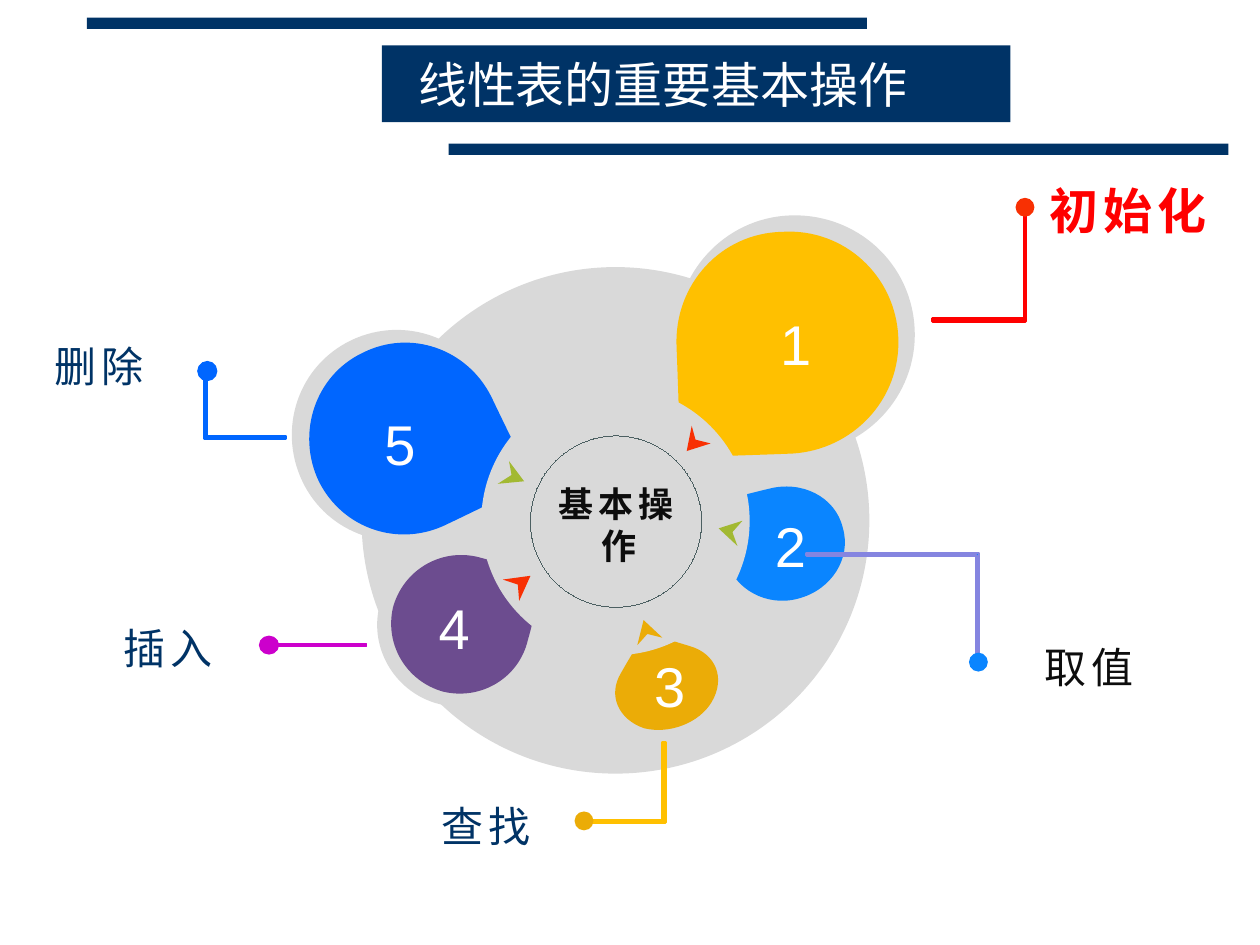
"""Build the slide on the important basic operations of a linear list."""
import math
from dataclasses import dataclass
from typing import Optional

import pptx
import pptx.dml.color
import pptx.enum.shapes
import pptx.enum.text
import pptx.oxml
import pptx.oxml.ns
import pptx.util

PX = 9144
SHAPE = pptx.enum.shapes.MSO_SHAPE
ALIGN = pptx.enum.text.PP_ALIGN
Point = tuple[float, float]
Box = tuple[int, int, int, int]


@dataclass(frozen=True)
class Theme:
    font: str = "Arial"
    navy: str = "003366"
    grey: str = "D9D9D9"
    white: str = "FFFFFF"
    ink: str = "0D0D0D"
    slate: str = "4C6062"
    red: str = "FF0000"
    scarlet: str = "F83003"
    amber: str = "FFC000"
    gold: str = "EBAC07"
    azure: str = "0A85FF"
    lilac: str = "8585E0"
    blue: str = "0066FF"
    purple: str = "6C4C8F"
    magenta: str = "CC00CC"
    green: str = "A2B932"
    number: int = 32
    heading: int = 28
    label: int = 24
    core: int = 20


@dataclass(frozen=True)
class Outline:
    points: tuple[Point, ...]
    fill: str
    line: Optional[str] = None
    curved: bool = False
    rotation: float = 0
    pivot: Point = (0, 0)


@dataclass(frozen=True)
class Preset:
    kind: SHAPE
    box: Box
    fill: Optional[str]
    line: Optional[str] = None
    width: float = 0.75


@dataclass(frozen=True)
class Label:
    text: str
    box: Box
    size: int
    color: str
    bold: bool = False
    wrap: bool = False


T = Theme()

HALOS = (
    Outline(((536, 269), (535, 217), (575, 173), (627, 171), (680, 169), (724, 209), (726, 262), (728, 314),
             (687, 358), (635, 360), (609, 361), (540, 364), (540, 364), (540, 364), (538, 295), (536, 269)),
            T.grey, curved=True),
    Outline(((352, 421), (310, 441), (260, 424), (240, 382), (220, 340), (237, 290), (279, 270), (321, 250),
             (371, 268), (390, 310), (401, 331), (427, 385), (427, 385), (427, 385), (372, 411), (352, 421)),
            T.grey, curved=True),
    Outline(((429, 506), (423, 542), (390, 566), (355, 560), (320, 555), (295, 522), (300, 487), (306, 451),
             (339, 427), (374, 433), (392, 435), (439, 442), (439, 442), (439, 442), (431, 489), (429, 506)),
            T.grey, curved=True),
)

DROPS = (
    Outline(((419, 508), (412, 538), (382, 556), (352, 549), (323, 541), (305, 512), (312, 482), (320, 453),
             (349, 435), (379, 442), (394, 446), (432, 456), (432, 456), (432, 456), (423, 494), (419, 508)),
            T.purple, curved=True),
    Outline(((355, 416), (317, 435), (272, 420), (253, 382), (235, 344), (250, 298), (288, 280), (326, 261),
             (371, 277), (390, 315), (399, 334), (423, 383), (423, 383), (423, 383), (374, 407), (355, 416)),
            T.blue, curved=True),
    Outline(((537, 275), (535, 226), (572, 185), (621, 184), (670, 181), (711, 219), (713, 268), (715, 317),
             (677, 357), (629, 360), (604, 361), (540, 363), (540, 363), (540, 363), (538, 299), (537, 275)),
            T.amber, curved=True),
    Outline(((610, 388), (636, 381), (663, 394), (669, 419), (676, 443), (660, 468), (634, 475), (609, 482),
             (583, 468), (576, 444), (572, 432), (563, 400), (563, 400), (563, 400), (597, 391), (610, 388)),
            T.azure, curved=True, rotation=346.9, pivot=(622, 431.5)),
    Outline(((548, 513), (568, 519), (576, 538), (565, 557), (555, 574), (531, 583), (511, 578), (491, 571),
             (482, 552), (493, 534), (498, 525), (512, 502), (512, 502), (512, 502), (538, 510), (548, 513)),
            T.gold, curved=True, rotation=340.9, pivot=(527.5, 540.5)),
)

POINTERS = (
    Outline(((399, 460), (421, 457), (412, 477), (411, 464)), T.scarlet),
    Outline(((404, 366), (416, 382), (395, 384), (406, 377)), T.green),
    Outline(((564, 352), (545, 358), (549, 338), (552, 349)), T.scarlet),
    Outline(((585, 433), (570, 419), (589, 413), (581, 422)), T.green, rotation=327.9, pivot=(583, 423)),
    Outline(((506, 512), (511, 492), (526, 506), (514, 503)), T.gold, rotation=343.4, pivot=(513, 500)),
)

ELBOWS = (
    Outline(((814, 255), (740, 255), (740, 253), (813, 253), (813, 160), (814, 160)), T.red, T.red),
    Outline(((777, 439), (640, 439), (640, 441), (775, 441), (775, 520), (777, 520)), T.azure, T.lilac),
    Outline(((528, 653), (461, 653), (461, 651), (526, 651), (526, 589), (528, 589)), T.amber, T.amber),
    Outline(((227, 348), (162, 348), (162, 290), (164, 290), (164, 346), (227, 346)), T.blue, T.blue),
)

BARS = (
    Preset(SHAPE.RECTANGLE, (69, 14, 619, 9), T.navy),
    Preset(SHAPE.RECTANGLE, (356, 114, 619, 9), T.navy),
)
TITLE = Preset(SHAPE.RECTANGLE, (303, 36, 499, 61), T.navy)
DISC = Preset(SHAPE.OVAL, (287, 212, 403, 402), T.grey)
HUB = Preset(SHAPE.OVAL, (382, 307, 213, 213), T.grey)
RING = Preset(SHAPE.OVAL, (421, 346, 136, 136), None, T.slate, 0)
MARKERS = (
    Preset(SHAPE.RECTANGLE, (214, 511, 77, 2), T.magenta, T.magenta),
    Preset(SHAPE.OVAL, (806, 157, 15, 15), T.scarlet),
    Preset(SHAPE.OVAL, (769, 518, 15, 15), T.azure),
    Preset(SHAPE.OVAL, (206, 505, 15, 14), T.magenta, T.magenta),
    Preset(SHAPE.OVAL, (456, 644, 15, 15), T.gold),
    Preset(SHAPE.OVAL, (157, 287, 15, 15), T.blue, T.blue),
)

LABELS = (
    Label("基本操作", (425, 376, 132, 81), T.core, T.ink, bold=True, wrap=True),
    Label("初始化", (817, 136, 157, 61), T.heading, T.red, bold=True),
    *(Label(text, (x, y, 103, 54), T.label, color) for text, x, y, color in (
        ("查找", 334, 628, T.navy), ("插入", 82, 487, T.navy),
        ("取值", 813, 502, T.ink), ("删除", 27, 263, T.navy))),
    *(Label(text, (x, y, 53, 67), T.number, T.white) for text, x, y in (
        ("1", 605, 239), ("5", 291, 318), ("4", 334, 464), ("3", 505, 510), ("2", 601, 399))),
)


def rgb(value: str) -> pptx.dml.color.RGBColor:
    return pptx.dml.color.RGBColor.from_string(value)


def emu(box: Box) -> list[int]:
    return [value * PX for value in box]


def paint(sp, fill: Optional[str], line: Optional[str], width: float) -> None:
    sp.shadow.inherit = False
    for part, color in ((sp.fill, fill), (sp.line.fill, line)):
        if color:
            part.solid()
            part.fore_color.rgb = rgb(color)
        else:
            part.background()
    if line:
        sp.line.width = max(pptx.util.Emu(1), pptx.util.Pt(width))


def turn(point: Point, pivot: Point, degrees: float) -> Point:
    dx, dy = point[0] - pivot[0], point[1] - pivot[1]
    c, n = math.cos(math.radians(degrees)), math.sin(math.radians(degrees))
    return pivot[0] + dx * c - dy * n, pivot[1] + dx * n + dy * c


def bend(sp) -> None:
    lines = list(sp._element.iter(pptx.oxml.ns.qn("a:lnTo")))
    for first, second, third in zip(lines[::3], lines[1::3], lines[2::3]):
        curve = pptx.oxml.parse_xml(f"<a:cubicBezTo {pptx.oxml.ns.nsdecls('a')}/>")
        first.addprevious(curve)
        for line in (first, second, third):
            curve.append(line[0])
            line.getparent().remove(line)


def add_outline(s, item: Outline) -> None:
    points = [tuple(v * PX for v in turn(pt, item.pivot, -item.rotation)) for pt in item.points]
    builder = s.shapes.build_freeform(*points[0], scale=1.0)
    builder.add_line_segments(points[1:], close=True)
    sp = builder.convert_to_shape()
    if item.curved:
        bend(sp)
    sp.rotation = item.rotation
    paint(sp, item.fill, item.line, 1.5)


def add_preset(s, item: Preset):
    sp = s.shapes.add_shape(item.kind, *emu(item.box))
    paint(sp, item.fill, item.line, item.width)
    return sp


def write(p, text: str, size: int, color: str, bold: bool = False):
    r = p.add_run()
    r.text = text
    for name, value in {"name": T.font, "size": pptx.util.Pt(size), "bold": bold}.items():
        setattr(r.font, name, value)
    r.font.color.rgb = rgb(color)
    return r


def add_label(s, item: Label) -> None:
    tf = s.shapes.add_textbox(*emu(item.box)).text_frame
    layout = {"margin_left": 13 * PX, "margin_right": 13 * PX, "margin_top": 7 * PX, "margin_bottom": 7 * PX,
              "word_wrap": item.wrap, "auto_size": pptx.enum.text.MSO_AUTO_SIZE.SHAPE_TO_FIT_TEXT}
    for name, value in layout.items():
        setattr(tf, name, value)
    p = tf.paragraphs[0]
    p.alignment = ALIGN.CENTER
    r = write(p, item.text, item.size, item.color, item.bold)
    r._r.get_or_add_rPr().set("spc", "300")


def add_title(s) -> None:
    tf = add_preset(s, TITLE).text_frame
    tf.vertical_anchor = pptx.enum.text.MSO_ANCHOR.MIDDLE
    p = tf.paragraphs[0]
    p.alignment = ALIGN.LEFT
    p._p.get_or_add_pPr().set("marL", str(19 * PX))
    write(p, "线性表的重要基本操作", T.heading, T.white)


def main() -> None:
    prs = pptx.Presentation()
    prs.slide_width, prs.slide_height = 1000 * PX, 750 * PX
    s = prs.slides.add_slide(prs.slide_layouts[6])
    for bar in BARS:
        add_preset(s, bar)
    add_title(s)
    for outlines, presets in ((HALOS, (DISC,)), (DROPS, (HUB,)), (POINTERS, (RING,)), (ELBOWS, MARKERS)):
        for outline in outlines:
            add_outline(s, outline)
        for preset in presets:
            add_preset(s, preset)
    for label in LABELS:
        add_label(s, label)
    prs.save("out.pptx")


if __name__ == "__main__":
    main()
